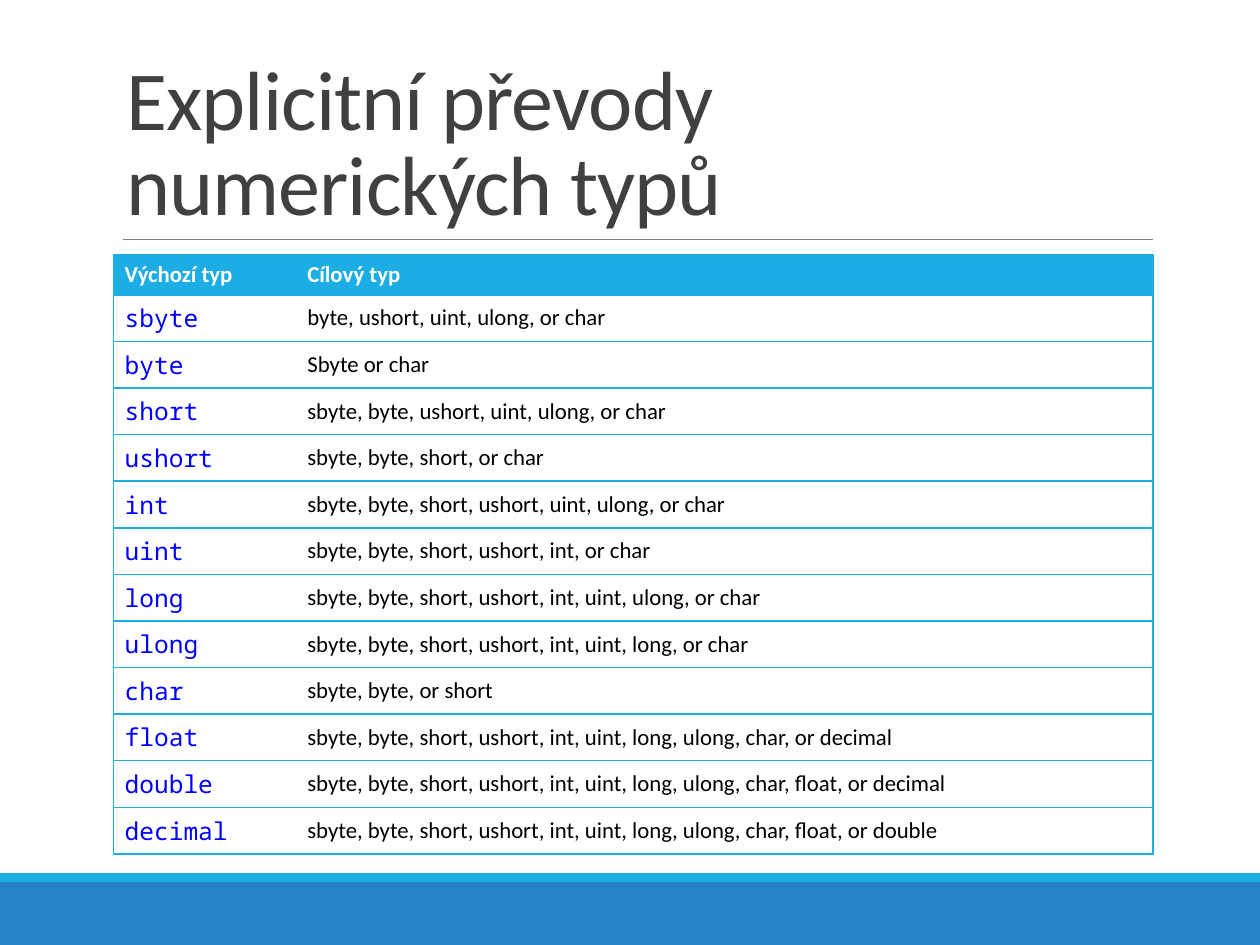
from lxml.etree import SubElement
from pptx import Presentation
from pptx.dml.color import RGBColor
from pptx.enum.shapes import MSO_CONNECTOR, MSO_SHAPE
from pptx.enum.text import MSO_ANCHOR, MSO_AUTO_SIZE, PP_ALIGN
from pptx.oxml.ns import qn
from pptx.util import Inches, Pt

COLORS = {
    "accent": "1CADE4",
    "footer": "2683C6",
    "rule": "808080",
    "title": "404040",
    "keyword": "0000FF",
    "body": "000000",
    "white": "FFFFFF",
}

CONVERSIONS = [
    ("sbyte", "byte, ushort, uint, ulong, or char"),
    ("byte", "Sbyte or char"),
    ("short", "sbyte, byte, ushort, uint, ulong, or char"),
    ("ushort", "sbyte, byte, short, or char"),
    ("int", "sbyte, byte, short, ushort, uint, ulong, or char"),
    ("uint", "sbyte, byte, short, ushort, int, or char"),
    ("long", "sbyte, byte, short, ushort, int, uint, ulong, or char"),
    ("ulong", "sbyte, byte, short, ushort, int, uint, long, or char"),
    ("char", "sbyte, byte, or short"),
    ("float", "sbyte, byte, short, ushort, int, uint, long, ulong, char, or decimal"),
    ("double", "sbyte, byte, short, ushort, int, uint, long, ulong, char, float, or decimal"),
    ("decimal", "sbyte, byte, short, ushort, int, uint, long, ulong, char, float, or double"),
]


def color(name):
    return RGBColor.from_string(COLORS[name])


def write(frame, content, size=13, font="Calibri", ink="body", bold=False,
          line_spacing=None, tracking=None):
    paragraph = frame.paragraphs[0]
    paragraph.alignment = PP_ALIGN.LEFT
    paragraph.line_spacing = line_spacing
    run = paragraph.add_run()
    run.text = content
    run.font.size = Pt(size)
    run.font.name = font
    run.font.bold = bold
    run.font.color.rgb = color(ink)
    if tracking is not None:
        run.font._element.set("spc", str(int(tracking * 100)))


class SlideBuilder:
    def __init__(self, slide, accent="accent", border_width=1):
        self.slide = slide
        self.accent = accent
        self.border_width = border_width

    def title(self, content, left, top, width, height):
        heading = self.slide.shapes.title
        heading.left, heading.top = Inches(left), Inches(top)
        heading.width, heading.height = Inches(width), Inches(height)
        frame = heading.text_frame
        frame.word_wrap = True
        frame.auto_size = MSO_AUTO_SIZE.NONE
        frame.vertical_anchor = MSO_ANCHOR.BOTTOM
        write(frame, content, size=48, ink="title", line_spacing=0.85, tracking=-0.5)

    def band(self, top, height, fill):
        strip = self.slide.shapes.add_shape(
            MSO_SHAPE.RECTANGLE, 0, Inches(top), Inches(10), Inches(height))
        strip.shadow.inherit = False
        strip.fill.solid()
        strip.fill.fore_color.rgb = color(fill)
        strip.line.fill.background()

    def rule(self, left, right, y):
        line = self.slide.shapes.add_connector(
            MSO_CONNECTOR.STRAIGHT, Inches(left), Inches(y), Inches(right), Inches(y))
        line.line.color.rgb = color("rule")
        line.line.width = Pt(0.5)
        SubElement(line._element.spPr, qn("a:effectLst"))

    def borders(self, cell, visible):
        properties = cell._tc.get_or_add_tcPr()
        for side in "LRTB":
            edge = SubElement(properties, qn(f"a:ln{side}"), w=str(Pt(self.border_width)))
            if side in visible:
                paint = SubElement(edge, qn("a:solidFill"))
                SubElement(paint, qn("a:srgbClr"), val=COLORS[self.accent])
            else:
                SubElement(edge, qn("a:noFill"))

    def cell(self, cell, content, visible, fill, **style):
        self.borders(cell, visible)
        cell.fill.solid()
        cell.fill.fore_color.rgb = color(fill)
        cell.vertical_anchor = MSO_ANCHOR.MIDDLE
        cell.margin_left = cell.margin_right = Inches(0.09)
        cell.margin_top = cell.margin_bottom = Inches(0.05)
        write(cell.text_frame, content, **style)

    def table(self, header, rows, left, top, widths, header_height, row_height):
        height = header_height + row_height * len(rows)
        grid = self.slide.shapes.add_table(
            len(rows) + 1, len(widths), Inches(left), Inches(top),
            Inches(sum(widths)), Inches(height)).table
        grid.horz_banding = False
        for column, width in zip(grid.columns, widths):
            column.width = Inches(width)
        header_style = dict(fill=self.accent, ink="white", bold=True)
        body_styles = (
            dict(fill="white", size=14, font="Noto Sans Mono", ink="keyword"),
            dict(fill="white"),
        )
        for r, entries in enumerate([header, *rows]):
            grid.rows[r].height = Inches(row_height if r else header_height)
            for c, (content, outer) in enumerate(zip(entries, "LR")):
                style = body_styles[c] if r else header_style
                self.cell(grid.cell(r, c), content, outer + "TB", **style)


def main():
    deck = Presentation()
    deck.slide_width, deck.slide_height = Inches(10), Inches(7.5)
    builder = SlideBuilder(deck.slides.add_slide(deck.slide_layouts[5]))
    builder.band(7, 0.5, "footer")
    builder.band(6.93, 0.07, "accent")
    builder.rule(0.98, 9.15, 1.9)
    builder.title("Explicitní převody numerických typů", 0.9, 0.31, 8.25, 1.59)
    builder.table(("Výchozí typ", "Cílový typ"), CONVERSIONS, left=0.9, top=2.02,
                  widths=(1.45, 6.8), header_height=0.32, row_height=0.37)
    deck.save("out.pptx")


if __name__ == "__main__":
    main()
